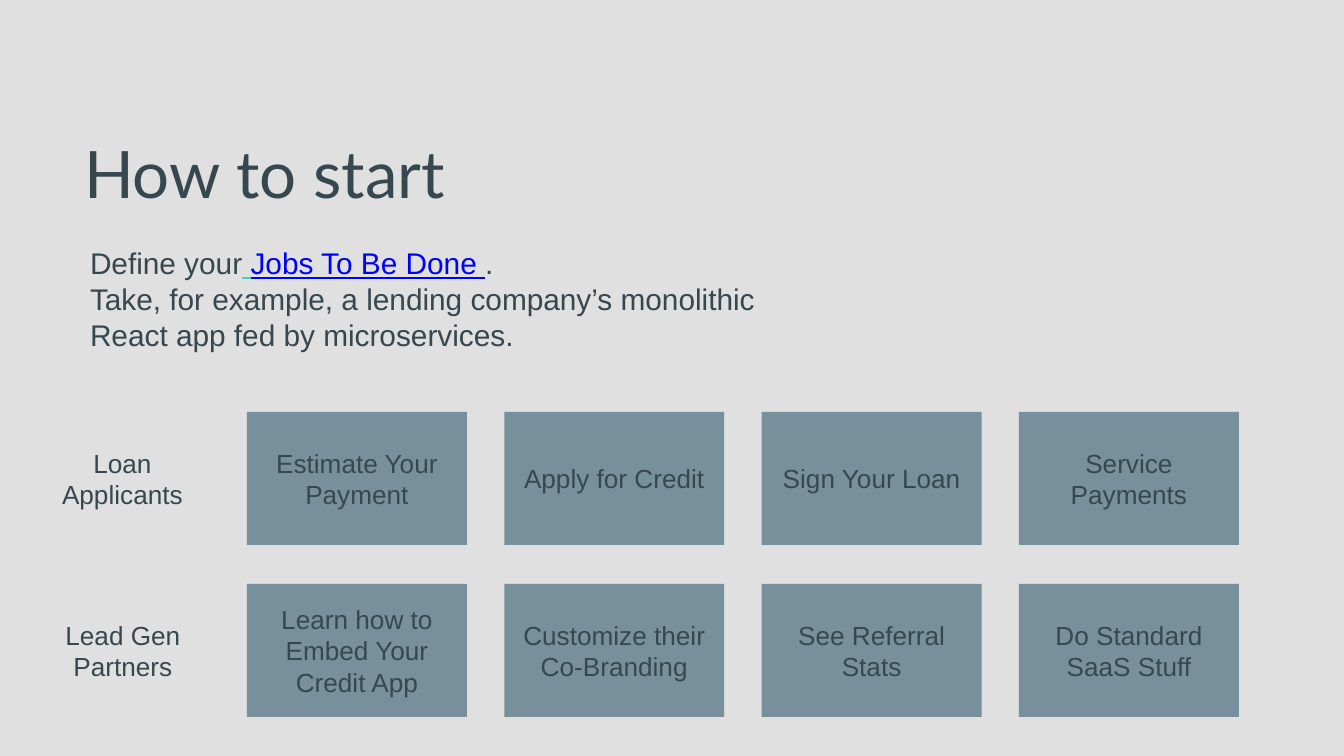
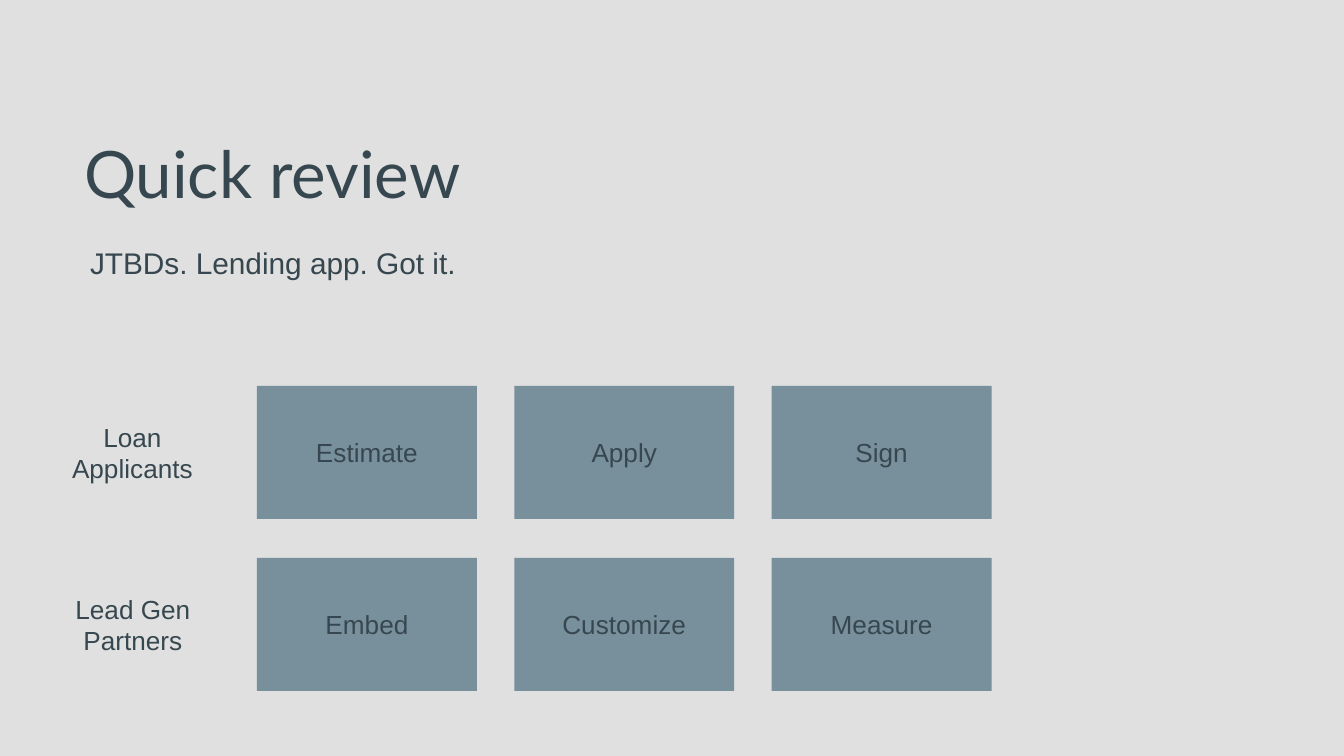
from lxml import etree
from pptx import Presentation
from pptx.dml.color import RGBColor
from pptx.enum.shapes import MSO_SHAPE
from pptx.enum.text import MSO_ANCHOR, MSO_AUTO_SIZE, PP_ALIGN
from pptx.oxml.ns import qn
from pptx.util import Emu, Pt

RECTANGLE = MSO_SHAPE.RECTANGLE
TOP, MIDDLE = MSO_ANCHOR.TOP, MSO_ANCHOR.MIDDLE
LEFT, CENTER = PP_ALIGN.LEFT, PP_ALIGN.CENTER
FIXED, GROW = MSO_AUTO_SIZE.NONE, MSO_AUTO_SIZE.SHAPE_TO_FIT_TEXT

PX_PER_INCH = 134.4
BACKGROUND, INK, CARD_FILL = "E0E0E0", "37474F", "78909C"
ACCENT, LINK = "50CCAE", "0000FF"
TITLE_FONT, BODY_FONT = "Lato", "Arial"

TITLE_BOX = (71, 69, 915, 206)
INSET = 13
CARD_WIDTH, CARD_HEIGHT = 220, 133
THREE_COLUMNS, ROW_STEP = 772, 172
LABEL_TOP, LABEL_HEIGHT = 35, 63

# Label lines, distance left of the cards, and width for each row
AUDIENCES = [
    (["Loan", "Applicants"], 191, 133),
    (["Lead Gen", "Partners"], 182, 116),
]


def px(length):
    return Emu(round(length * 914400 / PX_PER_INCH))


def rgb(code):
    return RGBColor.from_string(code)


def place(shape, box):
    shape.left, shape.top, shape.width, shape.height = map(px, box)


def set_frame(frame, anchor, inset=INSET, wrap=True, auto_size=FIXED):
    frame.word_wrap = wrap
    frame.auto_size = auto_size
    frame.vertical_anchor = anchor
    frame.margin_left = frame.margin_right = px(inset)
    frame.margin_top = frame.margin_bottom = px(inset)


def write(frame, paragraphs, size, align=LEFT, font=BODY_FONT):
    """Fill a frame; each paragraph is a list of (text, colour, underlined)."""
    for index, runs in enumerate(paragraphs):
        paragraph = frame.add_paragraph() if index else frame.paragraphs[0]
        paragraph.alignment = align
        paragraph.space_before = Pt(0)
        for text, color, underlined in runs:
            run = paragraph.add_run()
            run.text = text
            run.font.name = font
            run.font.size = Pt(size)
            run.font.color.rgb = rgb(color)
            run.font.underline = underlined


def plain(text):
    return [(text, INK, False)]


def remove_bullets(frame):
    for paragraph in frame.paragraphs:
        properties = paragraph._p.get_or_add_pPr()
        properties.set("marL", "0")
        properties.set("indent", "0")
        etree.SubElement(properties, qn("a:buNone"))


def add_heading(slide, heading):
    title = slide.shapes.title
    place(title, TITLE_BOX)
    set_frame(title.text_frame, MIDDLE)
    write(title.text_frame, [plain(heading)], 35, font=TITLE_FONT)


def add_intro(slide, paragraphs, box):
    intro = slide.placeholders[1]
    place(intro, box)
    set_frame(intro.text_frame, TOP, auto_size=GROW)
    write(intro.text_frame, paragraphs, 16)
    remove_bullets(intro.text_frame)


def add_audience(slide, lines, box):
    audience = slide.shapes.add_textbox(*map(px, box))
    set_frame(audience.text_frame, TOP, inset=0, wrap=False, auto_size=GROW)
    write(audience.text_frame, [plain(line) for line in lines], 14, CENTER)


def add_job(slide, job, box):
    card = slide.shapes.add_shape(RECTANGLE, *map(px, box))
    card.shadow.inherit = False
    card.fill.solid()
    card.fill.fore_color.rgb = rgb(CARD_FILL)
    card.line.fill.background()
    set_frame(card.text_frame, MIDDLE)
    write(card.text_frame, [plain(job)], 14, CENTER)


def add_job_grid(slide, job_rows, left, top):
    """Lay out one row of job cards per audience, with its label on the left."""
    for row, (jobs, audience) in enumerate(zip(job_rows, AUDIENCES)):
        lines, label_offset, label_width = audience
        row_top = top + row * ROW_STEP
        add_audience(slide, lines, (left - label_offset, row_top + LABEL_TOP,
                                    label_width, LABEL_HEIGHT))
        for column, job in enumerate(jobs):
            card_left = left + column * THREE_COLUMNS / 3
            add_job(slide, job, (card_left, row_top, CARD_WIDTH, CARD_HEIGHT))


def add_jobs_slide(prs, heading, intro, intro_height, job_rows, grid_origin):
    slide = prs.slides.add_slide(prs.slide_layouts[1])
    add_heading(slide, heading)
    add_intro(slide, intro, (77, 232, 774, intro_height))
    add_job_grid(slide, job_rows, *grid_origin)


def main():
    prs = Presentation()
    prs.slide_width, prs.slide_height = px(1344), px(756)
    background = prs.slide_master.background.fill
    background.solid()
    background.fore_color.rgb = rgb(BACKGROUND)

    add_jobs_slide(
        prs, "How to start",
        [[("Define your", INK, False), (" ", ACCENT, True),
          ("Jobs To Be Done ", LINK, True), (".", INK, False)],
         plain("Take, for example, a lending company’s monolithic "
               "React app fed by microservices.")],
        133,
        [["Estimate Your Payment", "Apply for Credit", "Sign Your Loan",
          "Service Payments"],
         ["Learn how to Embed Your Credit App", "Customize their Co-Branding",
          "See Referral Stats", "Do Standard SaaS Stuff"]],
        (247, 412))
    add_jobs_slide(
        prs, "Quick review",
        [plain("JTBDs. Lending app. Got it.")],
        62,
        [["Estimate", "Apply", "Sign"], ["Embed", "Customize", "Measure"]],
        (257, 386))
    prs.save("out.pptx")


if __name__ == "__main__":
    main()
